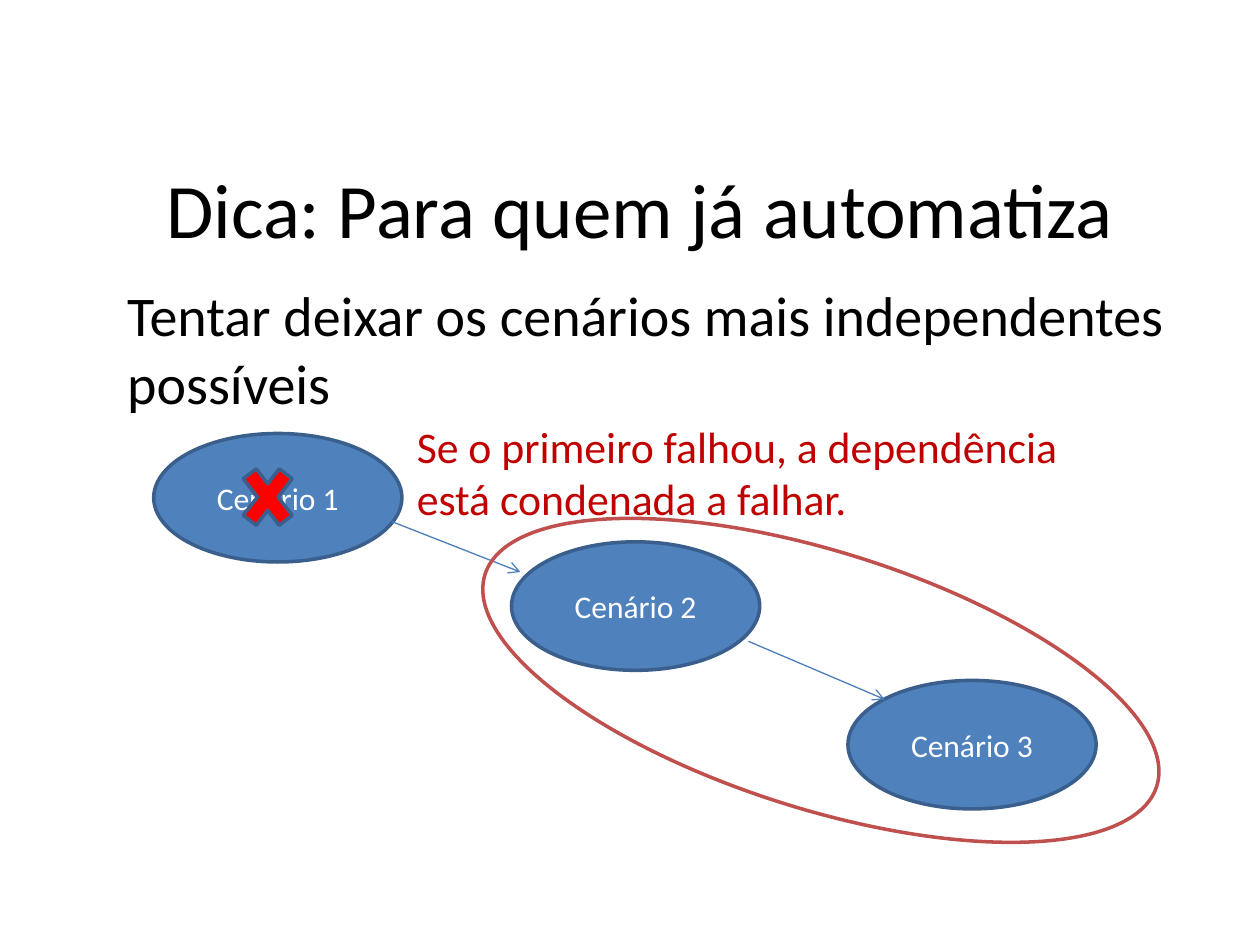
from dataclasses import dataclass

from lxml.etree import SubElement
from pptx import Presentation
from pptx.dml.color import RGBColor
from pptx.enum.shapes import MSO_CONNECTOR, MSO_SHAPE
from pptx.enum.text import MSO_ANCHOR, PP_ALIGN
from pptx.oxml.ns import qn
from pptx.util import Inches, Pt


@dataclass(frozen=True)
class Theme:
    font: str = "Calibri"
    text: str = "000000"
    light: str = "FFFFFF"
    blue: str = "4F81BD"
    outline: str = "3A5F8C"
    arrow: str = "4B7EBC"
    failure: str = "FF0000"
    group: str = "C0504D"
    warning: str = "C00000"
    title_size: float = 44
    body_size: float = 32
    warning_size: float = 25
    label_size: float = 18
    line_width: float = 2
    arrow_width: float = 0.75


@dataclass(frozen=True)
class Box:
    left: float
    top: float
    width: float
    height: float

    def lengths(self):
        return [Inches(v) for v in (self.left, self.top, self.width, self.height)]


@dataclass(frozen=True)
class Scenario:
    label: str
    left: float
    top: float


@dataclass(frozen=True)
class Arrow:
    start: tuple[float, float]
    end: tuple[float, float]


THEME = Theme()
SCENARIO_SIZE = (1.97, 1.02)
SCENARIOS = [
    Scenario("Cenário 1", 1.22, 3.44),
    Scenario("Cenário 2", 4.06, 4.3),
    Scenario("Cenário 3", 6.73, 5.4),
]
ARROWS = [
    Arrow((3.11, 4.14), (4.13, 4.54)),
    Arrow((5.94, 5.09), (7.02, 5.55)),
]


def write(sp, text: str, size: float, color: str, align, anchor) -> None:
    tf = sp.text_frame
    for name, value in {"word_wrap": True, "vertical_anchor": anchor}.items():
        setattr(tf, name, value)
    p = tf.paragraphs[0]
    p.alignment = align
    r = p.add_run()
    r.text = text
    for name, value in {"name": THEME.font, "size": Pt(size)}.items():
        setattr(r.font, name, value)
    r.font.color.rgb = RGBColor.from_string(color)


def fill_placeholder(sp, box: Box, *text_format) -> None:
    for name, value in zip(("left", "top", "width", "height"), box.lengths()):
        setattr(sp, name, value)
    write(sp, *text_format)


def add_outlined(s, kind, box: Box, line: str, fill: str | None = None):
    """Add a preset shape; without a fill colour it stays hollow."""
    sp = s.shapes.add_shape(kind, *box.lengths())
    sp.shadow.inherit = False
    if fill:
        sp.fill.solid()
        sp.fill.fore_color.rgb = RGBColor.from_string(fill)
    else:
        sp.fill.background()
    sp.line.color.rgb = RGBColor.from_string(line)
    sp.line.width = Pt(THEME.line_width)
    return sp


def add_scenario(s, scenario: Scenario) -> None:
    box = Box(scenario.left, scenario.top, *SCENARIO_SIZE)
    sp = add_outlined(s, MSO_SHAPE.OVAL, box, THEME.outline, THEME.blue)
    write(sp, scenario.label, THEME.label_size, THEME.light,
          PP_ALIGN.CENTER, MSO_ANCHOR.MIDDLE)


def add_arrow(s, arrow: Arrow) -> None:
    points = [Inches(v) for v in (*arrow.start, *arrow.end)]
    cxn = s.shapes.add_connector(MSO_CONNECTOR.STRAIGHT, *points)
    cxn.line.color.rgb = RGBColor.from_string(THEME.arrow)
    cxn.line.width = Pt(THEME.arrow_width)
    SubElement(cxn.line._get_or_add_ln(), qn("a:tailEnd"), type="arrow")
    SubElement(cxn._element.spPr, qn("a:effectLst"))


def main() -> None:
    prs = Presentation()
    prs.slide_width, prs.slide_height = Inches(10), Inches(7.5)
    s = prs.slides.add_slide(prs.slide_layouts[0])

    fill_placeholder(s.shapes.title, Box(0.83, 0.84, 8.5, 1.61),
                     "Dica: Para quem já automatiza", THEME.title_size,
                     THEME.text, PP_ALIGN.CENTER, MSO_ANCHOR.MIDDLE)
    fill_placeholder(s.placeholders[1], Box(0.91, 2.18, 8.5, 1.26),
                     "Tentar deixar os cenários mais independentes possíveis",
                     THEME.body_size, THEME.text, PP_ALIGN.LEFT, MSO_ANCHOR.TOP)

    for scenario in SCENARIOS:
        add_scenario(s, scenario)
    for arrow in ARROWS:
        add_arrow(s, arrow)

    add_outlined(s, MSO_SHAPE.MATH_MULTIPLY, Box(1.85, 3.59, 0.55, 0.71),
                 THEME.outline, THEME.failure)
    group = add_outlined(s, MSO_SHAPE.OVAL, Box(3.72, 4.38, 5.59, 2.04), THEME.group)
    group.rotation = 17.5

    warning = s.shapes.add_textbox(*Box(3.21, 3.28, 5.73, 0.94).lengths())
    write(warning, "Se o primeiro falhou, a dependência está condenada a falhar.",
          THEME.warning_size, THEME.warning, PP_ALIGN.LEFT, MSO_ANCHOR.TOP)

    prs.save("out.pptx")


if __name__ == "__main__":
    main()
